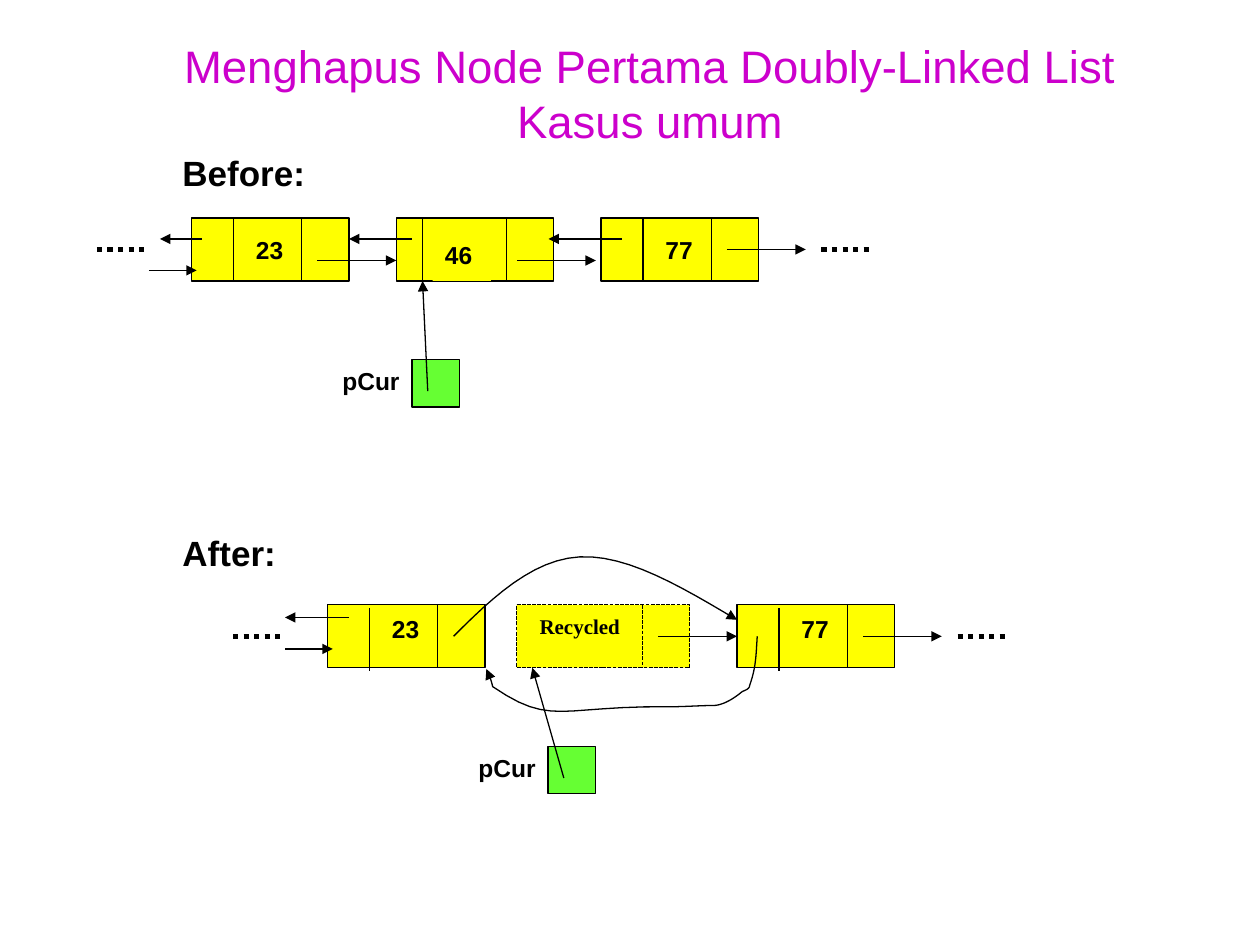
"""Build a slide on deleting the first node of a doubly-linked list."""
from lxml import etree
from pptx import Presentation
from pptx.dml.color import RGBColor
from pptx.enum.dml import MSO_LINE
from pptx.enum.shapes import MSO_CONNECTOR, MSO_SHAPE
from pptx.enum.text import MSO_ANCHOR, PP_ALIGN
from pptx.oxml.ns import qn
from pptx.util import Inches, Pt

STRAIGHT, RECTANGLE = MSO_CONNECTOR.STRAIGHT, MSO_SHAPE.RECTANGLE
DOTTED, DASHED = MSO_LINE.ROUND_DOT, MSO_LINE.SQUARE_DOT
LEFT, CENTER, RIGHT = PP_ALIGN.LEFT, PP_ALIGN.CENTER, PP_ALIGN.RIGHT
TOP, MIDDLE = MSO_ANCHOR.TOP, MSO_ANCHOR.MIDDLE
LEFT_SIDE = 1

THEME = {
    "ink": RGBColor.from_string("000000"),
    "title": RGBColor.from_string("CC00CC"),
    "node": RGBColor.from_string("FFFF00"),
    "pointer": RGBColor.from_string("66FF33"),
    "text": {
        "title": ({"name": "Arial", "size": Pt(26), "bold": False}, "title", CENTER),
        "heading": ({"name": "Arial", "size": Pt(20), "bold": True}, "ink", LEFT),
        "value": ({"name": "Arial", "size": Pt(14), "bold": True}, "ink", LEFT),
        "recycled": ({"name": "Times New Roman", "size": Pt(12), "bold": True}, "ink", LEFT),
        "pointer": ({"name": "Arial", "size": Pt(14), "bold": True}, "ink", RIGHT),
    },
    "line": {
        "plain": (0.75, None, False),
        "arrow": (0.75, None, True),
        "dashed": (0.75, DASHED, False),
        "dots": (3, DOTTED, False),
    },
}

deck = Presentation()
deck.slide_width, deck.slide_height = Inches(10), Inches(7.5)
page = deck.slides.add_slide(deck.slide_layouts[6])
CELL = deck.slide_width / 80
NODE_WIDTH, NODE_HEIGHT, POINTER_SIDE, CURVE_STEPS = 10, 4, 3, 12


def add_text(text, style, left, top, width, height):
    """Add a text box, measured in grid cells, in a theme style."""
    font_values, color, alignment = THEME["text"][style]
    box = page.shapes.add_textbox(*(round(cells * CELL) for cells in (left, top, width, height)))
    box.text_frame.word_wrap = True
    para = box.text_frame.paragraphs[0]
    para.alignment = alignment
    span = para.add_run()
    span.text = text
    for name, value in font_values.items():
        setattr(span.font, name, value)
    span.font.color.rgb = THEME[color]
    return box


def stroke(shape, kind):
    """Give a shape or connector a theme line and no shadow."""
    width, dash, arrow = THEME["line"][kind]
    shape.line.color.rgb = THEME["ink"]
    shape.line.width = Pt(width)
    if dash:
        shape.line.dash_style = dash
    properties = shape.element.spPr
    if arrow:
        etree.SubElement(properties.find(qn("a:ln")), qn("a:tailEnd"), type="triangle")
    if properties.find(qn("a:effectLst")) is None:
        etree.SubElement(properties, qn("a:effectLst"))


SCENES = [
    {
        "origin": (12.16, 13.84),
        "heading": ("Before:", -1.36, -4.64),
        "nodes": [(0, NODE_WIDTH, "plain"), (13, NODE_WIDTH, "plain"), (26, NODE_WIDTH, "plain")],
        "labels": [("23", "value", 3.3, 0.7, 3.7), ("46", "value", 15.3, 1, 3.7),
                   ("77", "value", 29.3, 0.7, 3.7)],
        "lines": [
            ("plain", 7, 0, 7, 4), ("plain", 20, 0, 20, 4), ("plain", 33, 0, 33, 4),
            ("plain", 2.67, 0, 2.67, 4), ("plain", 14.67, 0, 14.67, 4),
            ("plain", 28.67, 0, 28.67, 4),
            ("arrow", 8, 2.7, 13, 2.7), ("arrow", 20.67, 2.7, 25.67, 2.7),
            ("arrow", 27.33, 1.33, 22.67, 1.33), ("arrow", 14, 1.33, 10, 1.33),
            ("arrow", 0.64, 1.33, -2, 1.33), ("arrow", -2.7, 3.33, 0.33, 3.33),
            ("arrow", 15, 11, 14.67, 4),
        ],
        "curves": [],
    },
    {
        "origin": (20.8, 38.4),
        "heading": ("After:", -10, -5.04),
        "nodes": [(0, NODE_WIDTH, "plain"), (12, 11, "dashed"), (26, NODE_WIDTH, "plain")],
        "labels": [("23", "value", 3.3, 0.16, 3.7), ("Recycled", "recycled", 12.67, 0.16, 7.33),
                   ("77", "value", 29.3, 0.16, 3.7)],
        "lines": [
            ("plain", 7, 0, 7, 4), ("dashed", 20, 0, 20, 4), ("plain", 33, 0, 33, 4),
            ("plain", 2.67, 0.2, 2.67, 4.2), ("plain", 28.67, 0.2, 28.67, 4.2),
            ("arrow", 21, 2, 26, 2), ("arrow", 1.33, 0.8, -2.7, 0.8),
            ("arrow", -2.7, 2.8, 0.33, 2.8), ("arrow", 15, 11, 13, 4),
        ],
        "curves": [
            [(8, 2), (10.48, -0.48), (13.04, -2.88), (16, -3.04),
             (19.04, -3.2), (22.48, -1.12), (26, 0.96)],
            [(27.28, 2), (27.2, 3.28), (27.2, 4), (26.8, 5.12),
             (26.8, 5.36), (26.48, 5.44), (26.32, 5.52),
             (25.84, 5.92), (25.12, 6.4), (24.48, 6.4),
             (23.6, 6.4), (22.64, 6.48), (21.68, 6.48),
             (14.72, 6.4), (14.24, 7.76), (10.48, 5.2),
             (10.4, 4.8), (10.24, 4.4), (10.08, 4.08)],
        ],
    },
]
SHARED_LINES = [("dots", -6, 2, -3, 2), ("dots", 40, 2, 43, 2), ("arrow", 34, 2, 39, 2)]

title = add_text("Menghapus Node Pertama Doubly-Linked List Kasus umum", "title", 7.28, 2.88, 68, 6)
title.text_frame.vertical_anchor = MIDDLE
title.text_frame.margin_left = title.text_frame.margin_right = Inches(0.2)

for scene in SCENES:
    column, row = scene["origin"]
    heading, left, top = scene["heading"]
    add_text(heading, "heading", column + left, row + top, 16, 3.4)

    boxes = [(left, 0, width, NODE_HEIGHT, "node", kind) for left, width, kind in scene["nodes"]]
    boxes.append((14, 9, POINTER_SIDE, POINTER_SIDE, "pointer", "plain"))
    node_at = {}
    for left, top, width, height, fill, kind in boxes:
        box = page.shapes.add_shape(RECTANGLE, *(
            round(cells * CELL) for cells in (column + left, row + top, width, height)))
        box.shadow.inherit = False
        box.fill.solid()
        box.fill.fore_color.rgb = THEME[fill]
        stroke(box, kind)
        node_at[left, top + height / 2] = box

    for text, style, left, top, width in scene["labels"]:
        label = add_text(text, style, column + left, row + top, width, 3)
        label.text_frame.vertical_anchor = TOP
        label.fill.solid()
        label.fill.fore_color.rgb = THEME["node"]
    add_text("pCur", "pointer", column + 7, row + 9, 7, 3)

    for kind, start_x, start_y, end_x, end_y in scene["lines"] + SHARED_LINES:
        line = page.shapes.add_connector(STRAIGHT, *(round(cells * CELL) for cells in (
            column + start_x, row + start_y, column + end_x, row + end_y)))
        if (end_x, end_y) in node_at:
            line.end_connect(node_at[end_x, end_y], LEFT_SIDE)
        stroke(line, kind)

    for controls in scene["curves"]:
        points = [controls[0]]
        for first in range(0, len(controls) - 1, 3):
            segment = controls[first:first + 4]
            for step in range(1, CURVE_STEPS + 1):
                share = step / CURVE_STEPS
                rest = 1 - share
                weights = (rest ** 3, 3 * rest ** 2 * share, 3 * rest * share ** 2, share ** 3)
                points.append(tuple(
                    sum(weight * point[axis] for weight, point in zip(weights, segment))
                    for axis in (0, 1)))
        points = [(round((column + x) * CELL), round((row + y) * CELL)) for x, y in points]
        builder = page.shapes.build_freeform(*points[0], scale=1)
        builder.add_line_segments(points[1:], close=False)
        curve = builder.convert_to_shape()
        curve.shadow.inherit = False
        curve.fill.background()
        stroke(curve, "arrow")

deck.save("out.pptx")
